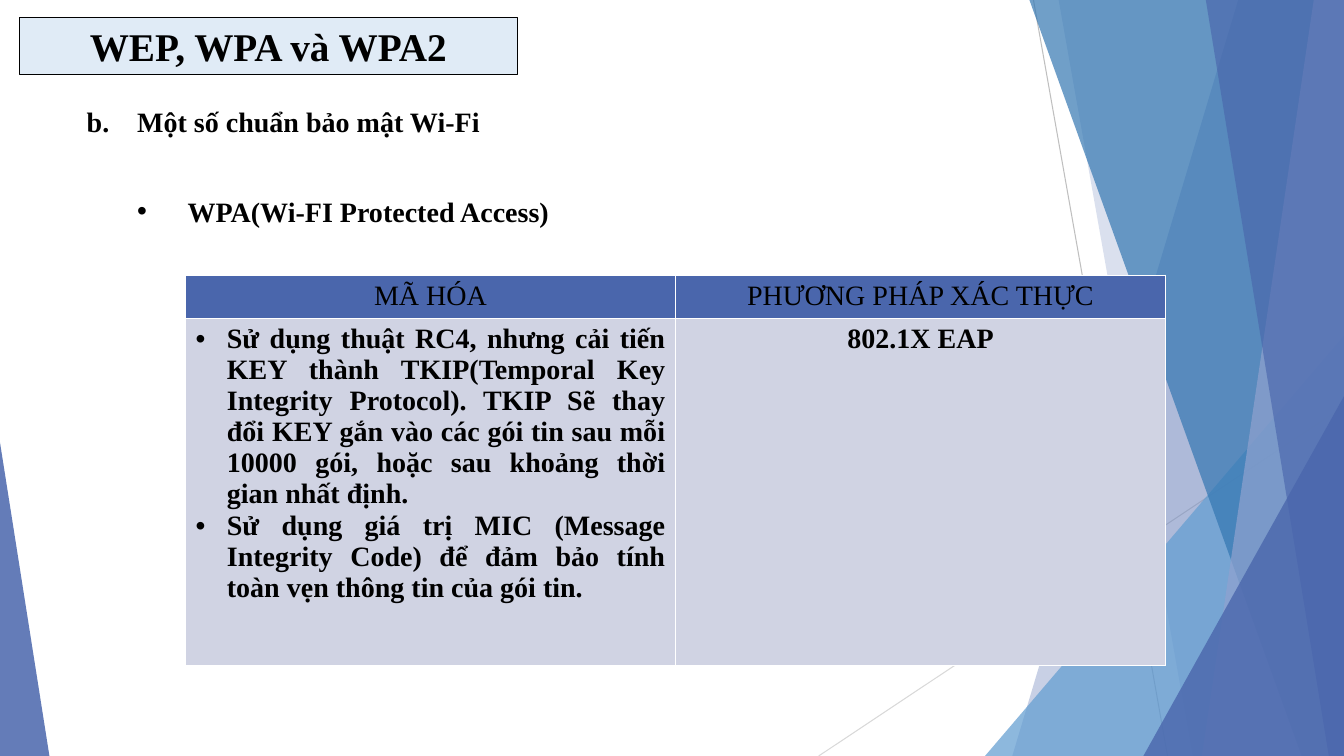
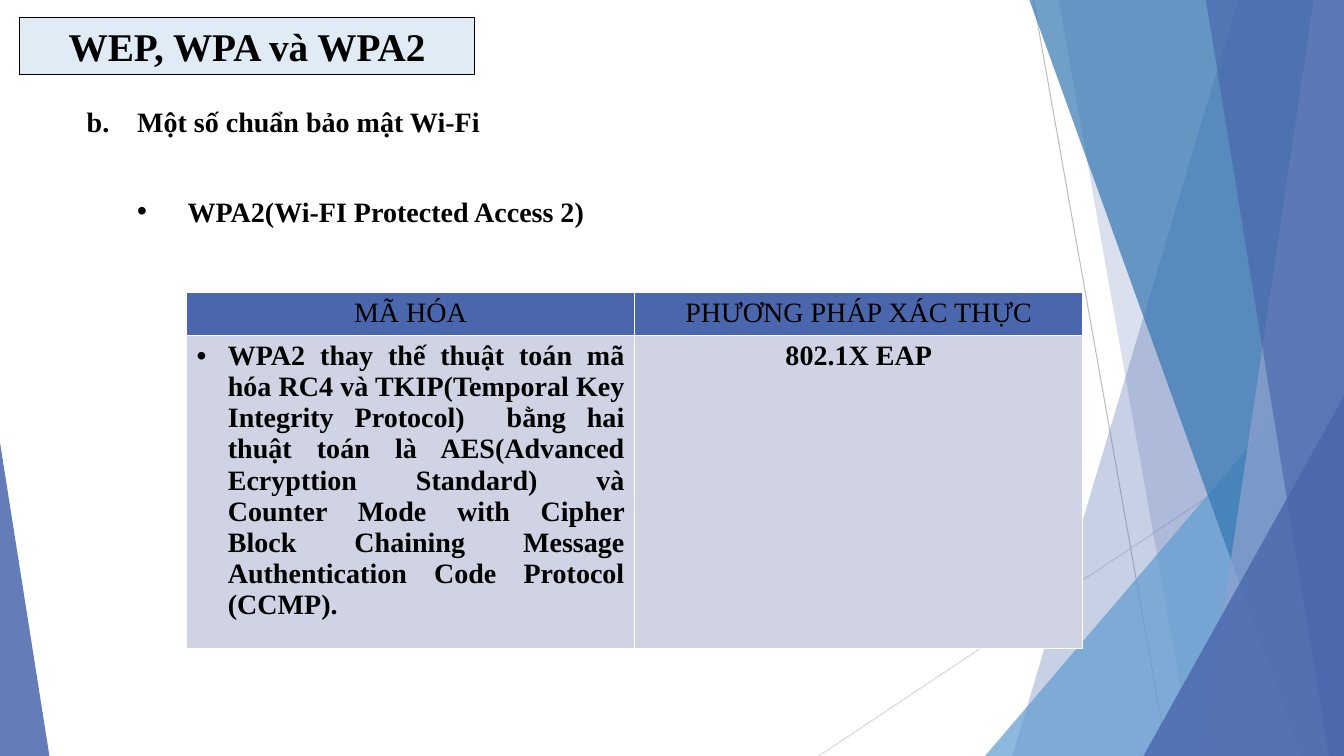
import lxml.etree
import pptx
import pptx.dml.color
import pptx.enum.shapes
import pptx.enum.text
import pptx.oxml.ns
import pptx.util

Inches = pptx.util.Inches
Pt = pptx.util.Pt
Align = pptx.enum.text.PP_ALIGN
qn = pptx.oxml.ns.qn

WIDTH, HEIGHT = 13.33, 7.5
BLUE = "4A66AC"


def color(code):
    return pptx.dml.color.RGBColor.from_string(code)


def add_xml(parent, tag, **attributes):
    return lxml.etree.SubElement(parent, qn(tag), attributes)


class Deck:
    font_name = "Times New Roman"
    ink = "000000"
    title_fill = "E0EBF6"
    cell_fill = "D0D3E3"
    border = "FFFFFF"
    header_height = 0.43

    def __init__(self):
        self.deck = pptx.Presentation()
        self.deck.slide_width = Inches(WIDTH)
        self.deck.slide_height = Inches(HEIGHT)
        self.page = None

    def new_page(self):
        self.page = self.deck.slides.add_slide(self.deck.slide_layouts[1])
        self.draw_facets()

    def draw_facets(self):
        self.ray((10.25, 0), (11.58, HEIGHT), "BFBFBF")
        self.ray((WIDTH, 4.03), (8.12, HEIGHT), "D9D9D9")
        self.facet(12.28, 10.04, BLUE, 30)
        self.facet(10.5, 11.83, BLUE, 20)
        self.triangle(9.77, 3.33, 3.56, 1, "629DD1", 72)
        self.facet(10.21, 12.91, "3477B2", 70)
        self.facet(13.03, 11.92, "90A2CF", 70)
        self.facet(11.96, 13.18, BLUE, 65)
        self.triangle(11.34, 3.93, 1.99, 1, BLUE, 80)
        self.triangle(0, 4.39, 0.49, 0, BLUE, 85)

    def ray(self, start, end, code):
        line = self.page.shapes.add_connector(
            pptx.enum.shapes.MSO_CONNECTOR.STRAIGHT,
            *(Inches(value) for value in start + end))
        line.line.color.rgb = color(code)
        line.line.width = Pt(0.75)
        add_xml(line.element.spPr, "a:effectLst")

    def facet(self, top_x, bottom_x, code, opacity):
        corners = [(WIDTH, 0), (WIDTH, HEIGHT), (bottom_x, HEIGHT)]
        outline = self.page.shapes.build_freeform(Inches(top_x), 0)
        outline.add_line_segments([(Inches(x), Inches(y)) for x, y in corners])
        self.tint(outline.convert_to_shape(), code, opacity)

    def triangle(self, left, top, width, apex, code, opacity):
        shape = self.page.shapes.add_shape(
            pptx.enum.shapes.MSO_SHAPE.ISOSCELES_TRIANGLE,
            Inches(left), Inches(top), Inches(width), Inches(HEIGHT - top))
        shape.adjustments[0] = apex
        self.tint(shape, code, opacity)

    def tint(self, shape, code, opacity):
        shape.shadow.inherit = False
        shape.line.fill.background()
        shape.fill.solid()
        shape.fill.fore_color.rgb = color(code)
        fill_color = shape.element.spPr.find(".//" + qn("a:srgbClr"))
        add_xml(fill_color, "a:alpha", val=str(opacity * 1000))

    def style(self, para, size, bold, align=Align.LEFT):
        para.alignment = align
        para.font.name = self.font_name
        para.font.size = Pt(size)
        para.font.bold = bold
        para.font.color.rgb = color(self.ink)

    def bullet(self, para, left, hanging, numbered=False):
        props = para._p.get_or_add_pPr()
        props.set("marL", str(Inches(left)))
        props.set("indent", str(-Inches(hanging)))
        if numbered:
            add_xml(props, "a:buFont", typeface="+mj-lt")
            add_xml(props, "a:buAutoNum", type="alphaLcPeriod", startAt="2")
        else:
            add_xml(props, "a:buFont", typeface="Arial")
            add_xml(props, "a:buChar", char="•")

    def place(self, box, left, top, width, height):
        box.left, box.top = Inches(left), Inches(top)
        box.width, box.height = Inches(width), Inches(height)
        box.text_frame.auto_size = pptx.enum.text.MSO_AUTO_SIZE.NONE
        box.text_frame.word_wrap = True

    def title(self, text, width):
        box = self.page.shapes.title
        self.place(box, 0.19, 0.17, width, 0.57)
        box.fill.solid()
        box.fill.fore_color.rgb = color(self.title_fill)
        box.line.color.rgb = color(self.ink)
        box.line.width = Pt(0.75)
        box.text_frame.text = text
        self.style(box.text_frame.paragraphs[0], 28, True, Align.CENTER)

    def outline(self, heading, topic):
        box = self.page.placeholders[1]
        self.place(box, 0.76, 0.99, 6.4, 1.31)
        frame = box.text_frame
        frame.text = heading
        frame.add_paragraph().text = topic
        for level, para in enumerate(frame.paragraphs):
            para.level = level
            self.bullet(para, 0.5 + 0.5 * level, 0.5, numbered=level == 0)
            para.space_before = Pt(40 * level)
            self.style(para, 20, True)

    def table(self, left, top, width, height, headers, points, method):
        table = self.page.shapes.add_table(
            2, 2, Inches(left), Inches(top), Inches(width), Inches(height)).table
        table.rows[0].height = Inches(self.header_height)
        table.rows[1].height = Inches(height - self.header_height)
        for column, header in enumerate(headers):
            self.cell(table.cell(0, column), [header], BLUE, bold=False)
        self.cell(table.cell(1, 0), points, self.cell_fill, bulleted=True)
        self.cell(table.cell(1, 1), [method], self.cell_fill)

    def cell(self, cell, lines, code, bold=True, bulleted=False):
        props = cell._tc.get_or_add_tcPr()
        for side in ("a:lnL", "a:lnR", "a:lnT", "a:lnB"):
            edge = add_xml(props, side, w=str(Pt(1)))
            add_xml(add_xml(edge, "a:solidFill"), "a:srgbClr", val=self.border)
        cell.fill.solid()
        cell.fill.fore_color.rgb = color(code)
        cell.text_frame.text = "\n".join(lines)
        for para in cell.text_frame.paragraphs:
            if bulleted:
                self.bullet(para, 0.31, 0.31)
            align = Align.JUSTIFY if bulleted else Align.CENTER
            self.style(para, 20, bold, align)


def main():
    title = "WEP, WPA và WPA2"
    heading = "Một số chuẩn bảo mật Wi-Fi"
    headers = ["MÃ HÓA", "PHƯƠNG PHÁP XÁC THỰC"]
    method = "802.1X EAP"
    wpa_points = [
        "Sử dụng thuật RC4, nhưng cải tiến KEY thành TKIP(Temporal Key "
        "Integrity Protocol). TKIP Sẽ thay đổi KEY gắn vào các gói tin sau "
        "mỗi 10000 gói, hoặc sau khoảng thời gian nhất định.",
        "Sử dụng giá trị MIC (Message Integrity Code) để đảm bảo tính toàn "
        "vẹn thông tin của gói tin.",
    ]
    wpa2_points = [
        "WPA2 thay thế thuật toán mã hóa RC4 và TKIP(Temporal Key Integrity "
        "Protocol)  bằng hai thuật toán là AES(Advanced Ecrypttion Standard) "
        "và Counter Mode with Cipher Block Chaining Message Authentication "
        "Code Protocol (CCMP).",
    ]
    pages = [
        (4.94, "WPA(Wi-FI Protected Access)", (1.84, 2.73, 9.72, 3.87), wpa_points),
        (4.52, "WPA2(Wi-FI Protected Access 2)", (1.85, 2.9, 8.89, 3.53), wpa2_points),
    ]
    slides = Deck()
    for title_width, topic, area, points in pages:
        slides.new_page()
        slides.title(title, title_width)
        slides.outline(heading, topic)
        slides.table(*area, headers, points, method)
    slides.deck.save("out.pptx")


if __name__ == "__main__":
    main()
